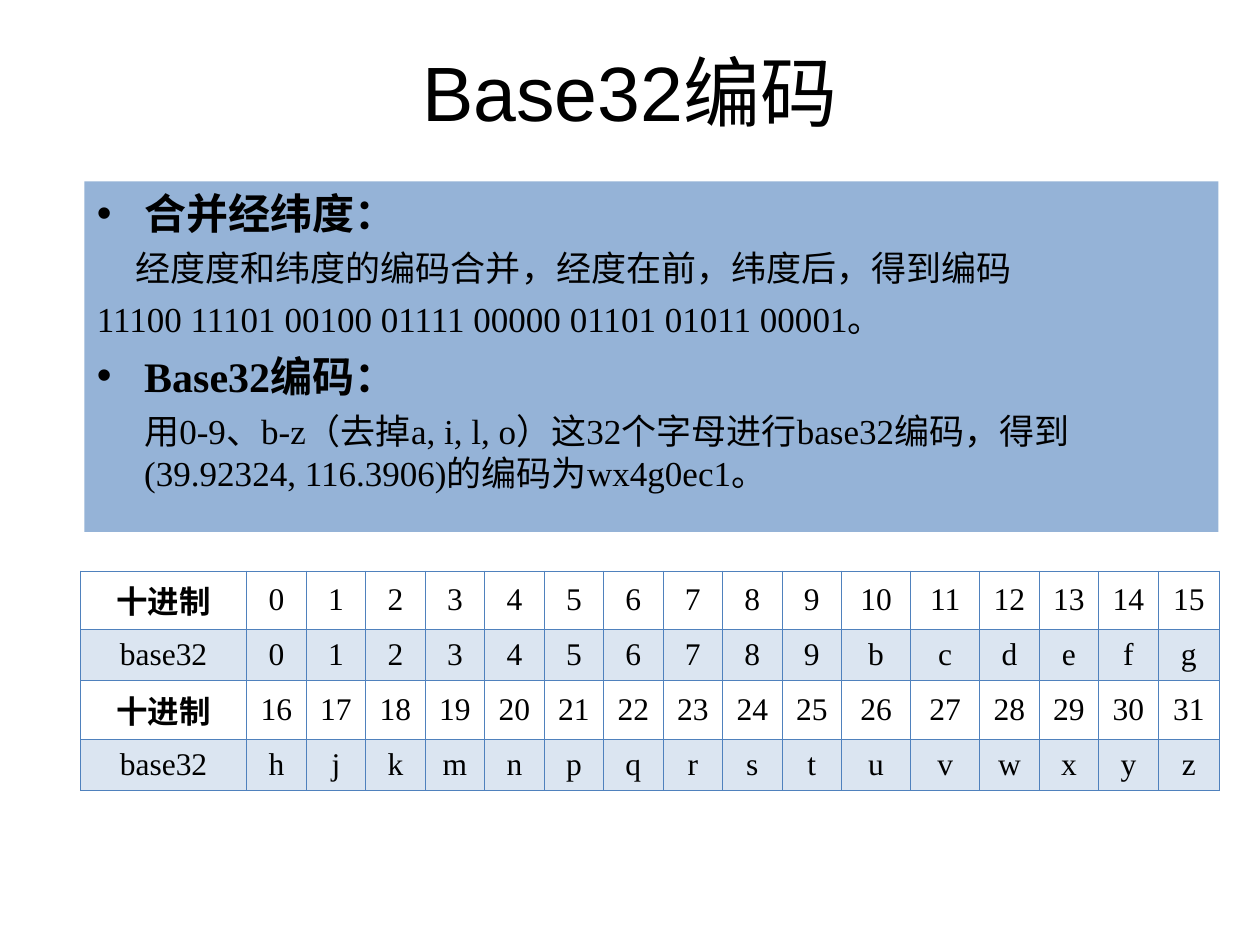
from dataclasses import dataclass

from lxml import etree
from pptx import Presentation
from pptx.dml.color import RGBColor
from pptx.enum.text import MSO_ANCHOR, MSO_AUTO_SIZE, PP_ALIGN
from pptx.oxml.ns import qn
from pptx.util import Pt

TOP, MIDDLE = MSO_ANCHOR.TOP, MSO_ANCHOR.MIDDLE
LEFT, CENTER = PP_ALIGN.LEFT, PP_ALIGN.CENTER
NO_AUTOFIT = MSO_AUTO_SIZE.NONE


@dataclass(frozen=True)
class Theme:
    title_font: str = "Arial"
    text_font: str = "Times New Roman"
    ink: str = "000000"
    panel: str = "95B3D7"
    accent: str = "4F81BD"
    title_size: float = 44
    heading_size: float = 24
    body_size: float = 20
    table_size: float = 18
    thin: float = 0.45
    thick: float = 0.96
    band_alpha: int = 20


@dataclass(frozen=True)
class Item:
    text: str
    heading: bool = False
    margin: float = 0


THEME = Theme()
HANG = 27
ITEMS = (
    Item("合并经纬度：", heading=True),
    Item("经度度和纬度的编码合并，经度在前，纬度后，得到编码", margin=22),
    Item("11100 11101 00100 01111 00000 01101 01011 00001。"),
    Item("Base32编码：", heading=True),
    Item("用0-9、b-z（去掉a, i, l, o）这32个字母进行base32编码，"
         "得到(39.92324, 116.3906)的编码为wx4g0ec1。", margin=HANG),
)
DIGITS = "0123456789bcdefghjkmnpqrstuvwxyz"
PER_ROW = 16
COLUMN_WIDTHS = [95] + [34] * 10 + [39.5] * 2 + [34] * 3 + [35]
ROW_HEIGHT = 29.5


def add_span(para, text: str, size: float, font: str, bold: bool = False) -> None:
    span = para.add_run()
    span.text = text
    span.font.size = Pt(size)
    span.font.name = font
    span.font.bold = bold
    span.font.color.rgb = RGBColor.from_string(THEME.ink)


def place(box, left: float, top: float, width: float, height: float) -> None:
    box.left, box.top, box.width, box.height = map(Pt, (left, top, width, height))
    frame = box.text_frame
    frame.word_wrap = True
    frame.auto_size = NO_AUTOFIT
    frame.vertical_anchor = TOP


def add_item(para, item: Item, first: bool) -> None:
    props = para._p.get_or_add_pPr()
    props.set("marL", str(Pt(HANG if item.heading else item.margin)))
    props.set("indent", str(Pt(-HANG if item.heading else 0)))
    if item.heading:
        etree.SubElement(props, qn("a:buChar")).set("char", "•")
    else:
        etree.SubElement(props, qn("a:buNone"))
    para.alignment = LEFT
    para.space_before = Pt(0 if first else 6 if item.heading else 5)
    size = THEME.heading_size if item.heading else THEME.body_size
    add_span(para, item.text, size, THEME.text_font, item.heading)


def add_border(cell, side: str, width: float) -> None:
    line = etree.SubElement(cell._tc.get_or_add_tcPr(), qn(f"a:ln{side}"))
    line.set("w", str(Pt(width)))
    fill = etree.SubElement(line, qn("a:solidFill"))
    etree.SubElement(fill, qn("a:srgbClr")).set("val", THEME.accent)


def fill_cell(cell, text: str, row: int, header: bool) -> None:
    # The line under the first row is thicker than the rest
    for side in "LRTB":
        heavy = (row, side) in ((0, "B"), (1, "T"))
        add_border(cell, side, THEME.thick if heavy else THEME.thin)
    if row % 2:
        cell.fill.solid()
        cell.fill.fore_color.rgb = RGBColor.from_string(THEME.accent)
        color = cell._tc.tcPr.find(qn("a:solidFill")).find(qn("a:srgbClr"))
        etree.SubElement(color, qn("a:alpha")).set("val", str(THEME.band_alpha * 1000))
    else:
        cell.fill.background()
    cell.vertical_anchor = MIDDLE
    para = cell.text_frame.paragraphs[0]
    para.alignment = CENTER
    add_span(para, text, THEME.table_size, THEME.text_font, header)


def add_code_table(page) -> None:
    rows = []
    for start in range(0, len(DIGITS), PER_ROW):
        numbers = range(start, start + PER_ROW)
        rows.append(["十进制", *map(str, numbers)])
        rows.append(["base32", *(DIGITS[number] for number in numbers)])
    table = page.shapes.add_table(
        len(rows), len(COLUMN_WIDTHS), Pt(46), Pt(326.3),
        Pt(sum(COLUMN_WIDTHS)), Pt(ROW_HEIGHT * len(rows))).table
    table.first_row = table.horz_banding = False
    for column, width in zip(table.columns, COLUMN_WIDTHS):
        column.width = Pt(width)
    for r, texts in enumerate(rows):
        table.rows[r].height = Pt(ROW_HEIGHT)
        for c, text in enumerate(texts):
            fill_cell(table.cell(r, c), text, r, c == 0 and r % 2 == 0)


def main() -> None:
    deck = Presentation()
    deck.slide_width, deck.slide_height = Pt(720), Pt(540)
    page = deck.slides.add_slide(deck.slide_layouts[1])

    # Title
    title = page.shapes.title
    place(title, 36, 21.6, 648, 49.7)
    para = title.text_frame.paragraphs[0]
    para.alignment = CENTER
    add_span(para, "Base32编码", THEME.title_size, THEME.title_font)

    # Explanation panel
    body = page.placeholders[1]
    place(body, 48.2, 103.7, 648, 200.2)
    body.fill.solid()
    body.fill.fore_color.rgb = RGBColor.from_string(THEME.panel)
    frame = body.text_frame
    for index, item in enumerate(ITEMS):
        para = frame.add_paragraph() if index else frame.paragraphs[0]
        add_item(para, item, first=index == 0)

    # Decimal to base32 table
    add_code_table(page)
    deck.save("out.pptx")


if __name__ == "__main__":
    main()
